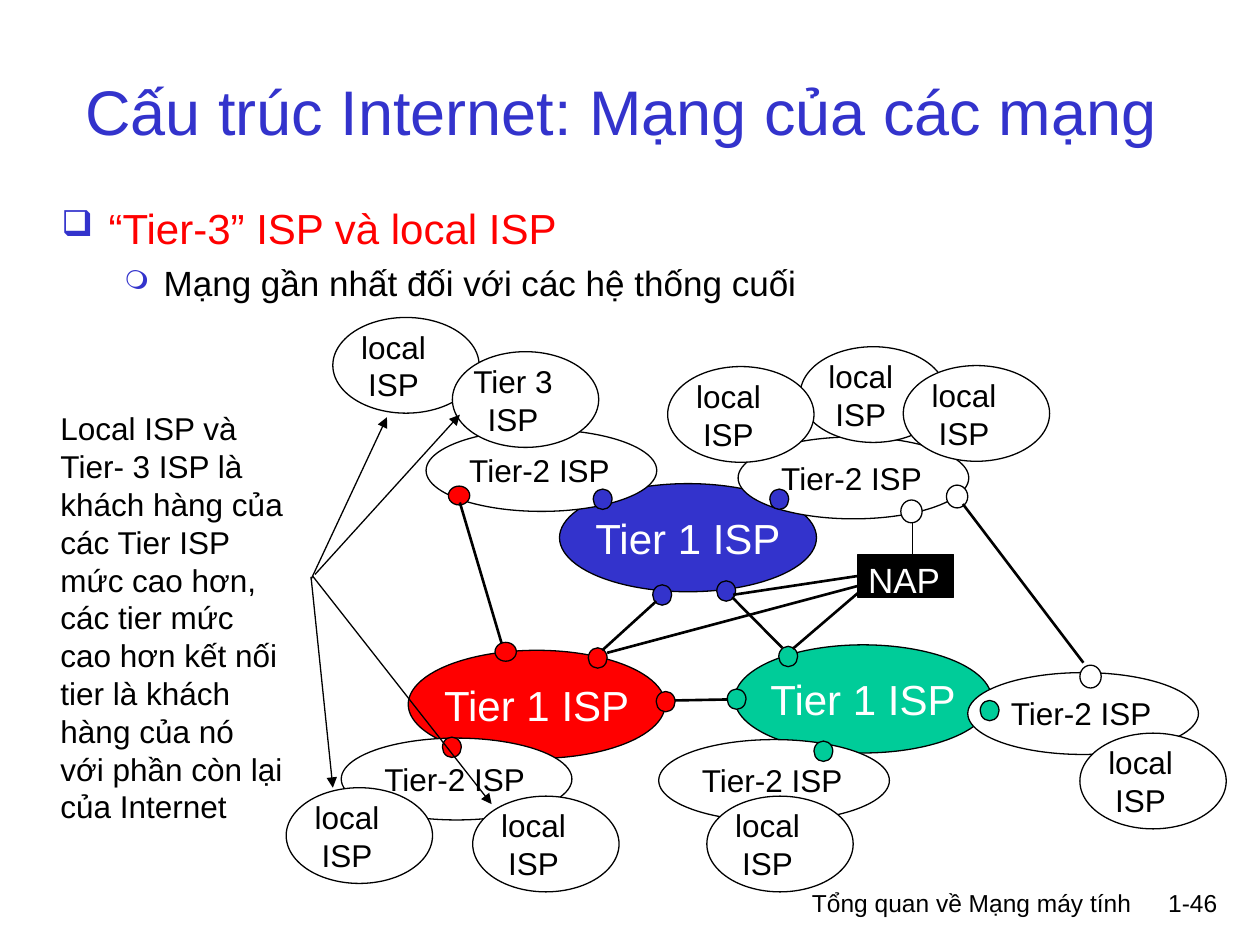
from lxml import etree
from pptx import Presentation
from pptx import util as u
from pptx.dml.color import RGBColor
from pptx.enum import shapes, text
from pptx.oxml import ns

HUE = {"blue": "3333CC", "red": "FF0000", "green": "00CC99",
       "white": "FFFFFF", "black": "000000"}
FONT = "Arial"
LEFT, MID, RIGHT = (text.PP_ALIGN.LEFT, text.PP_ALIGN.CENTER, text.PP_ALIGN.RIGHT)
DOT = (0.38, 0.41)
FLAT = (0.43, 0.38)
RING = (0.43, 0.46)


def rgb(hue):
    return RGBColor.from_string(HUE[hue])


def cm(*nums):
    return [u.Cm(n) for n in nums]


def sub(node, tag, **attrs):
    return etree.SubElement(node, ns.qn(tag), **attrs)


def write(frame, lines, size, hue="black", align=LEFT, wrap=True):
    """Fill a text frame with one paragraph per line."""
    frame.word_wrap = wrap
    for i, line in enumerate(lines):
        para = frame.add_paragraph() if i else frame.paragraphs[0]
        para.alignment = align
        run = para.add_run()
        run.text = line
        run.font.size = u.Pt(size)
        run.font.name = FONT
        run.font.color.rgb = rgb(hue)


def label(slide, box, lines, size, **style):
    note = slide.shapes.add_textbox(*cm(*box))
    write(note.text_frame, lines, size, **style)
    return note


def shape(slide, box, hue, kind=shapes.MSO_SHAPE.OVAL):
    form = slide.shapes.add_shape(kind, *cm(*box))
    form.shadow.inherit = False
    form.fill.solid()
    form.fill.fore_color.rgb = rgb(hue)
    form.line.color.rgb = rgb("black")
    form.line.width = u.Pt(0.75)
    return form


def dot(slide, x, y, hue, size=DOT):
    shape(slide, (x, y, *size), hue)


def link(slide, ends, width=1.5, arrow=False):
    wire = slide.shapes.add_connector(shapes.MSO_CONNECTOR.STRAIGHT, *cm(*ends))
    wire.line.color.rgb = rgb("black")
    wire.line.width = u.Pt(width)
    if arrow:
        sub(wire.line._get_or_add_ln(), "a:tailEnd", type="triangle")
    sub(wire._element.spPr, "a:effectLst")
    return wire


def bullet(para, sign, size, left, hang):
    props = para._p.get_or_add_pPr()
    props.set("marL", str(u.Cm(left)))
    props.set("indent", str(-u.Cm(hang)))
    sub(sub(props, "a:buClr"), "a:srgbClr", val=HUE["blue"])
    sub(props, "a:buSzPct", val=str(size * 1000))
    sub(props, "a:buChar", char=sign)


def title(slide, box):
    head = label(slide, box, ["Cấu trúc Internet: Mạng của các mạng"], 36, hue="blue")
    head.text_frame.vertical_anchor = text.MSO_ANCHOR.MIDDLE


def body(slide, box):
    note = label(slide, box, ["“Tier-3” ISP và local ISP",
                              "Mạng gần nhất đối với các hệ thống cuối"], 24)
    top, low = note.text_frame.paragraphs
    top.runs[0].font.color.rgb = rgb("red")
    low.runs[0].font.size = u.Pt(20)
    low.level = 1
    low.space_before = u.Pt(5)
    bullet(top, "❑", 85, 0.95, 0.95)
    bullet(low, "❍", 75, 2.06, 0.79)


def footer(slide, box):
    x, y, w, h = box
    page = 1.73
    label(slide, (x, y, w - page, h), ["Tổng quan về Mạng máy tính"], 14, align=RIGHT)
    label(slide, (x + w - page, y, page, h), ["1-46"], 14, align=RIGHT)


def core(slide, x, y, hue):
    """Tier 1 network."""
    oval = shape(slide, (x, y, 5.18, 2.18), hue)
    oval.text_frame.vertical_anchor = text.MSO_ANCHOR.MIDDLE
    write(oval.text_frame, ["Tier 1 ISP"], 24, "white", MID, False)


def region(slide, x, y, dx, dy, hue):
    """Tier 2 network with the dot where it joins tier 1."""
    shape(slide, (x, y, 4.65, 1.65), "white")
    label(slide, (x + 0.62, y + 0.31, 3.35, 1.02), ["Tier-2 ISP"], 18, wrap=False)
    dot(slide, x + dx, y + dy, hue)


def local(slide, x, y, name="local"):
    shape(slide, (x, y, 2.95, 1.93), "white")
    label(slide, (x + 0.16, y + 0.08, 2.13, 1.78), [name, "ISP"], 18,
          align=MID, wrap=False)


def hub(slide, x, y):
    """Access point with its three links."""
    block = shape(slide, (x, y, 1.93, 0.86), "black", shapes.MSO_SHAPE.RECTANGLE)
    label(slide, (x - 0.05, y - 0.05, 1.96, 1.12), ["NAP"], 20, hue="white", wrap=False)
    link(slide, (x + 0.07, y + 0.71, x - 1.32, y + 1.9))
    link(slide, (x, y + 0.43, x - 2.52, y + 0.81)).begin_connect(block, 1)
    link(slide, (x, y + 0.63, x - 5.06, y + 1.98))


def mesh(slide, x, y):
    """Map of networks, from tier 1 out to the local ones."""
    for dx, dy, hue in ((1.52, 6.71, "red"), (4.57, 3.35, "blue"), (8.1, 6.6, "green")):
        core(slide, x + dx, y + dy, hue)
    for dx, dy, hue in ((8.99, 6.63, "green"), (7.74, 5.31, "blue"), (6.45, 5.39, "blue"),
                        (5.15, 6.66, "red"), (6.52, 7.54, "red"), (7.95, 7.49, "green")):
        dot(slide, x + dx, y + dy, hue)
    for ax, ay, bx, by in ((6.9, 7.72, 7.97, 7.7), (8.05, 5.64, 9.06, 6.66),
                           (5.43, 6.71, 6.52, 5.72)):
        link(slide, (x + ax, y + ay, x + bx, y + by))
    hub(slide, x + 10.59, y + 4.78)

    for dx, dy, *spot in ((8.17, 2.41, 0.64, 1.05, "blue"), (1.88, 2.26, 3.37, 1.2, "blue"),
                          (0.17, 8.48, 2.04, -0.02, "red"), (6.57, 8.51, 3.13, 0.03, "green"),
                          (12.8, 7.16, 0.25, 0.56, "green")):
        region(slide, x + dx, y + dy, *spot)
    dot(slide, x + 2.33, y + 3.4, "red", FLAT)
    link(slide, (x + 2.56, y + 3.73, x + 3.45, y + 6.73))
    dot(slide, x + 3.27, y + 6.55, "red", FLAT)
    for dx, dy in ((12.37, 3.38), (15.06, 7.01), (11.45, 3.68)):
        dot(slide, x + dx, y + dy, "white", RING)
    link(slide, (x + 12.7, y + 3.76, x + 15.13, y + 6.96))
    link(slide, (x + 11.68, y + 4.12, x + 11.68, y + 4.78), 0.75)

    for dx, dy, *name in ((9.42, 0.59), (6.75, 0.99), (11.5, 0.97), (-0.94, 9.48), (0, 0),
                          (2.41, 0.69, "Tier 3"), (2.82, 9.65), (7.54, 9.65),
                          (15.06, 8.38)):
        local(slide, x + dx, y + dy, *name)


def aside(slide, box):
    """Side note with arrows to the networks it speaks of."""
    x, y, w, h = box
    label(slide, box, ["Local ISP và Tier- 3 ISP là khách hàng của các Tier ISP "
                       "mức cao hơn, các tier mức cao hơn kết nối tier là khách hàng "
                       "của nó với phần còn lại của Internet"], 18)
    for ax, ay, bx, by in ((5.3, 3.55, 6.83, 0.28), (5.38, 3.45, 8.3, 0.23),
                           (5.3, 3.5, 5.74, 7.75), (5.33, 3.48, 8.94, 8.08)):
        link(slide, (x + ax, y + ay, x + bx, y + by), 0.75, True)


def main():
    deck = Presentation()
    deck.slide_width, deck.slide_height = cm(25.4, 19.05)
    slide = deck.slides.add_slide(deck.slide_layouts[6])
    footer(slide, (13.82, 17.78, 10.97, 1.27))
    title(slide, (1.47, 0.64, 22.48, 3.18))
    body(slide, (0.99, 3.96, 23.44, 2.54))
    mesh(slide, 6.71, 6.4)
    aside(slide, (0.97, 8.13, 5, 8.64))
    deck.save("out.pptx")


if __name__ == "__main__":
    main()
